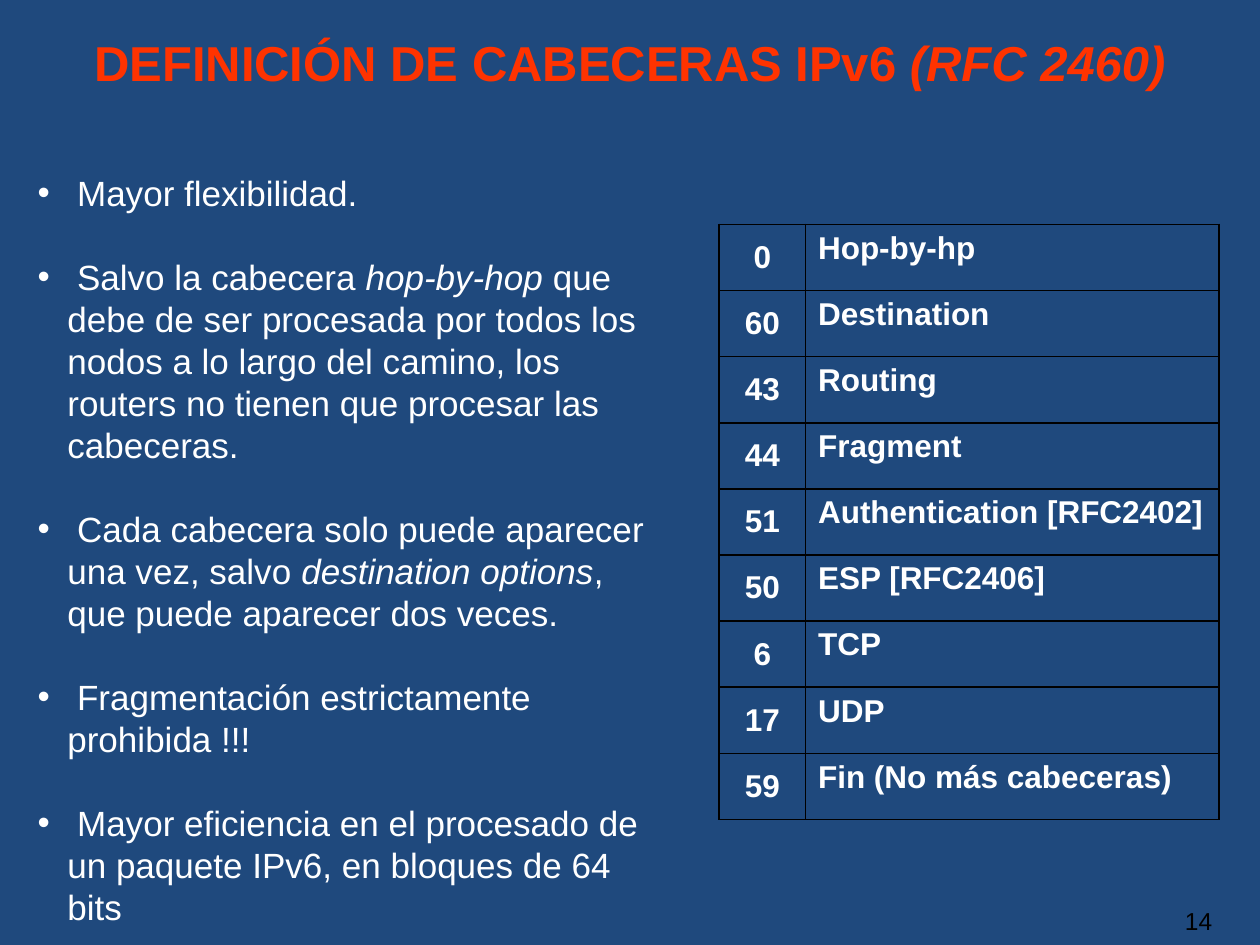
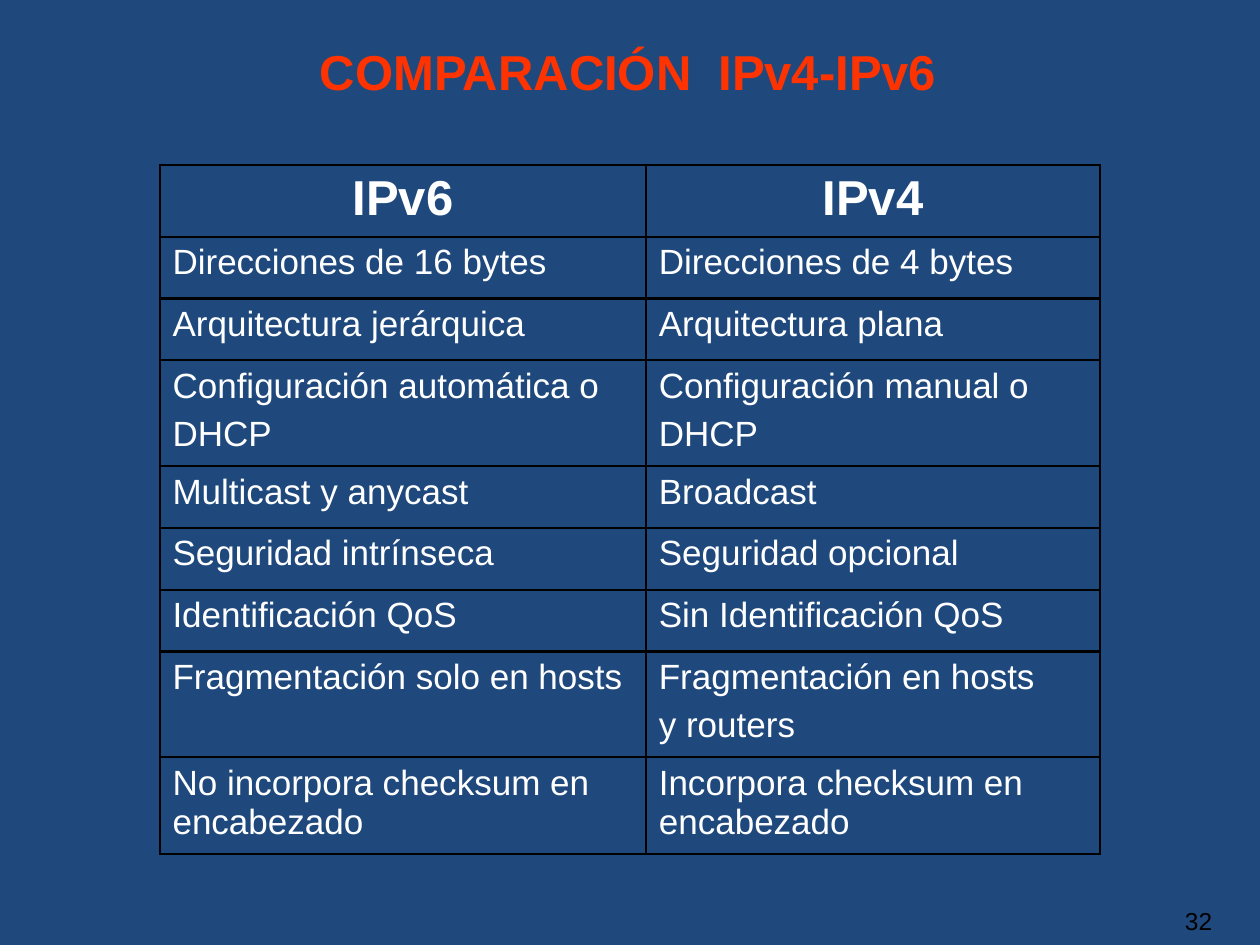
from lxml import etree
from pptx import Presentation
from pptx.dml.color import RGBColor
from pptx.enum.text import MSO_ANCHOR, PP_ALIGN
from pptx.oxml import parse_xml
from pptx.oxml.ns import nsdecls, qn
from pptx.util import Pt

LEFT, MID, RIGHT = PP_ALIGN.LEFT, PP_ALIGN.CENTER, PP_ALIGN.RIGHT
TOP, CENTRE = MSO_ANCHOR.TOP, MSO_ANCHOR.MIDDLE
NAVY = RGBColor(0x1F, 0x49, 0x7D)
RED = RGBColor(0xFF, 0x33, 0x00)
WHITE = RGBColor(0xFF, 0xFF, 0xFF)
BLACK = RGBColor(0, 0, 0)
FONT = "Arial"


def write(par, text, size, tone, bold=False, align=LEFT):
    par.alignment = align
    for n, part in enumerate(text.split("|")):
        if part:
            run = par.add_run()
            run.text = part
            font = run.font
            font.name, font.size, font.bold = FONT, Pt(size), bold
            font.italic = n % 2 == 1
            font.color.rgb = tone


def grid(slide, left, top, cols, rows, data, line):
    frame = slide.shapes.add_table(len(rows), len(cols), Pt(left), Pt(top),
                                   Pt(sum(cols)), Pt(sum(rows)))
    table = frame.table
    table.first_row = table.horz_banding = False
    for n, width in enumerate(cols):
        table.columns[n].width = Pt(width)
    for r, high in enumerate(rows):
        table.rows[r].height = Pt(high)
        for c, (text, size, bold, align, anchor) in enumerate(data[r]):
            cell = table.cell(r, c)
            cell.vertical_anchor = anchor
            props = cell._tc.get_or_add_tcPr()
            for side in ("lnL", "lnR", "lnT", "lnB"):
                edge = etree.SubElement(props, qn("a:" + side), w=str(Pt(line)))
                fill = etree.SubElement(edge, qn("a:solidFill"))
                etree.SubElement(fill, qn("a:srgbClr"), val=str(BLACK))
            cell.fill.background()
            for n, words in enumerate(text.split("\n")):
                par = cell.text_frame.paragraphs[0]
                if n:
                    par = cell.text_frame.add_paragraph()
                    par.space_before = Pt(5)
                write(par, words, size, WHITE, bold, align)


deck = Presentation()
deck.slide_width, deck.slide_height = Pt(720), Pt(540)

heads = [
    ("DEFINICIÓN DE CABECERAS IPv6 |(RFC 2460)|", 46.8, 15.1, 626.4, "14"),
    ("COMPARACIÓN  IPv4-IPv6", 175.7, 20.2, 368.6, "32"),
]
slides = []
for title, left, top, width, page in heads:
    slide = deck.slides.add_slide(deck.slide_layouts[6])
    slide.background.fill.solid()
    slide.background.fill.fore_color.rgb = NAVY
    box = slide.shapes.add_textbox(Pt(left), Pt(top), Pt(width), Pt(41))
    box.text_frame.word_wrap = False
    write(box.text_frame.paragraphs[0], title, 28, RED, True)
    box = slide.shapes.add_textbox(Pt(660.2), Pt(514.1), Pt(39.6), Pt(37.4))
    box.text_frame.word_wrap = True
    write(box.text_frame.paragraphs[0], page, 14, BLACK, align=RIGHT)
    slides.append(slide)

codes = [
    ("0", "Hop-by-hp"),
    ("60", "Destination"),
    ("43", "Routing"),
    ("44", "Fragment"),
    ("51", "Authentication [RFC2402]"),
    ("50", "ESP [RFC2406]"),
    ("6", "TCP"),
    ("17", "UDP"),
    ("59", "Fin (No más cabeceras)"),
]
data = [[(code, 18, True, MID, CENTRE), (name, 18, True, LEFT, TOP)]
        for code, name in codes]
grid(slides[0], 411, 128.2, [49.3, 236.2], [37.8] * len(codes), data, 1.08)

points = [
    " Mayor flexibilidad.",
    " Salvo la cabecera |hop-by-hop| que debe de ser procesada por todos los "
    "nodos a lo largo del camino, los routers no tienen que procesar las cabeceras.",
    " Cada cabecera solo puede aparecer una vez, salvo |destination options|, "
    "que puede aparecer dos veces.",
    " Fragmentación estrictamente prohibida !!!",
    " Mayor eficiencia en el procesado de un paquete IPv6, en bloques de 64 bits",
]
box = slides[0].shapes.add_textbox(Pt(14.4), Pt(94.3), Pt(368.6), Pt(391.7))
body = box.text_frame
body.word_wrap = True
for n, point in enumerate(points):
    par = body.add_paragraph() if n else body.paragraphs[0]
    par.line_spacing = Pt(24)
    if n:
        par.space_before = Pt(24)
    props = par._p.get_or_add_pPr()
    props.set("marL", str(Pt(17)))
    props.set("indent", str(Pt(-17)))
    props.append(parse_xml(f'<a:buClr {nsdecls("a")}><a:srgbClr val="{WHITE}"/></a:buClr>'))
    props.append(parse_xml(f'<a:buFont {nsdecls("a")} typeface="{FONT}"/>'))
    props.append(parse_xml(f'<a:buChar {nsdecls("a")} char="•"/>'))
    write(par, point, 20, WHITE)

pairs = [
    ("IPv6", "IPv4"),
    ("Direcciones de 16 bytes", "Direcciones de 4 bytes"),
    ("Arquitectura jerárquica", "Arquitectura plana"),
    ("Configuración automática o\nDHCP", "Configuración manual o\nDHCP"),
    ("Multicast y anycast", "Broadcast"),
    ("Seguridad intrínseca", "Seguridad opcional"),
    ("Identificación QoS", "Sin Identificación QoS"),
    ("Fragmentación solo en hosts", "Fragmentación en hosts\ny routers"),
    ("No incorpora checksum en encabezado", "Incorpora checksum en encabezado"),
]
data = [[(text, 20, False, LEFT, TOP) for text in pair] for pair in pairs]
data[0] = [(text, 28, True, MID, TOP) for text in pairs[0]]
rows = [41, 35.3, 35.3, 60.5, 35.3, 35.3, 35.3, 60.5, 55.4]
grid(slides[1], 91.4, 94.3, [277.9, 259.2], rows, data, 1.47)

deck.save("out.pptx")
